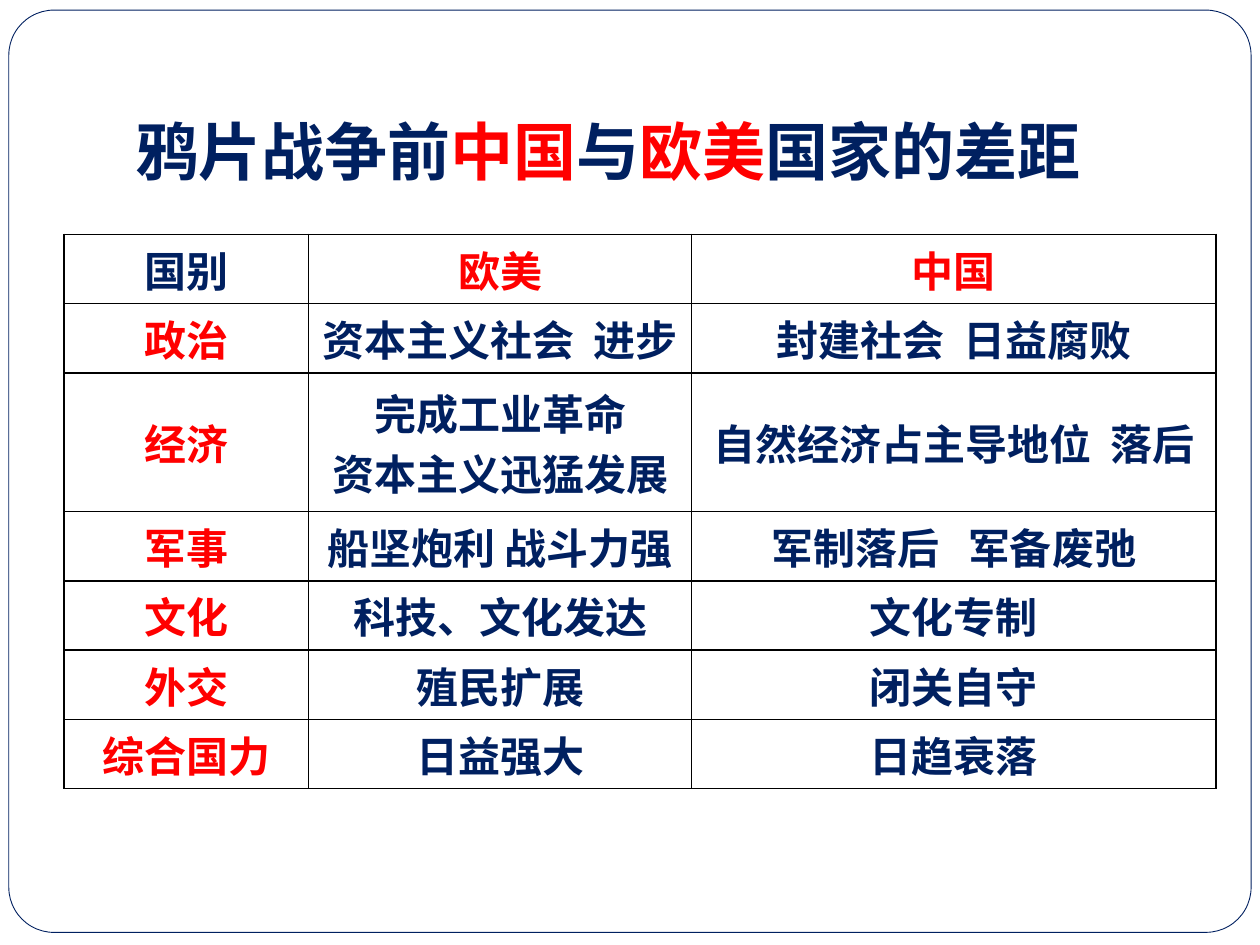
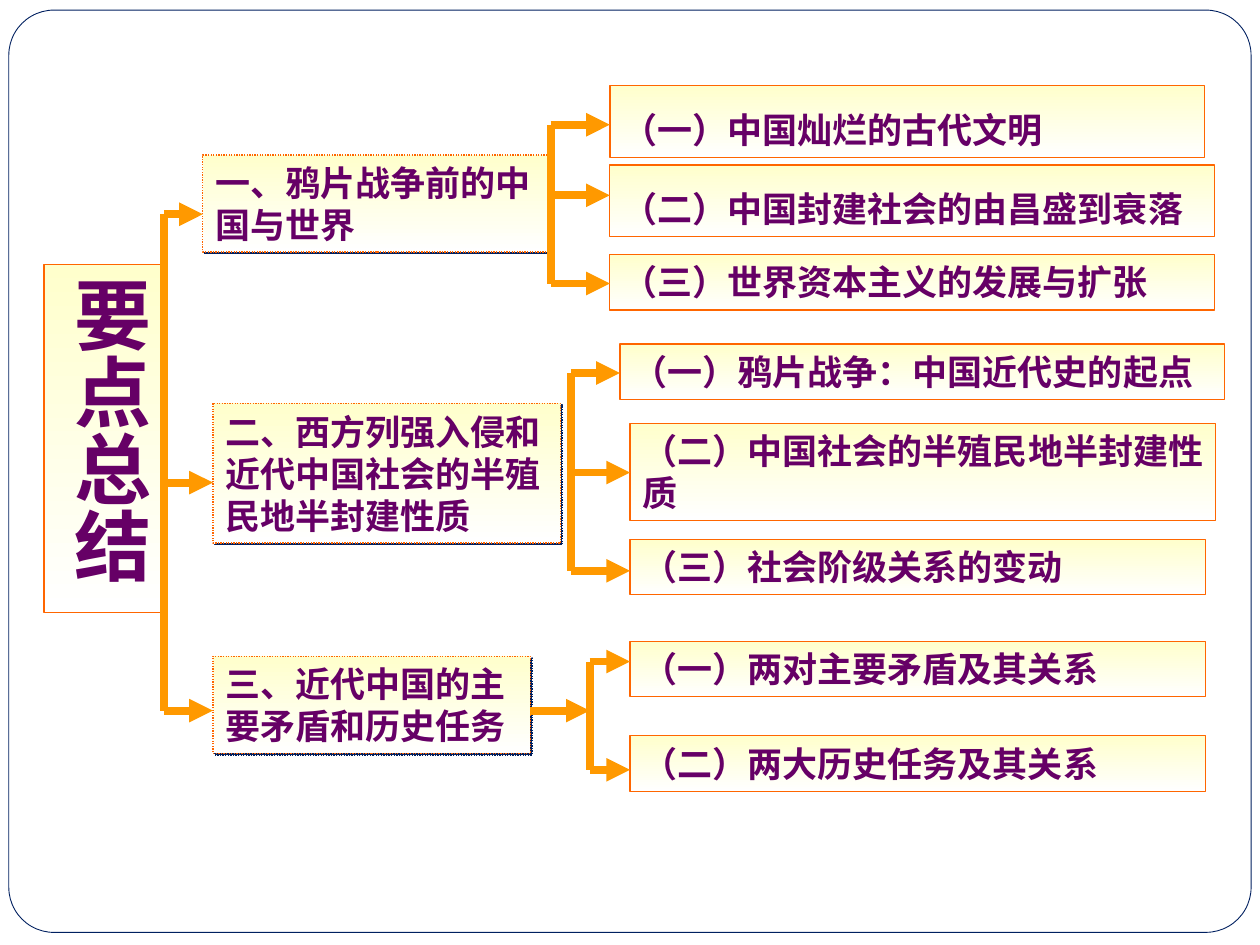
from lxml import etree
from pptx import Presentation
from pptx import util as u
from pptx.dml.color import RGBColor
from pptx.enum import dml, lang, shapes, text
from pptx.oxml import parse_xml
from pptx.oxml.ns import nsdecls, qn

# The slide is a grid of 100 columns by 75 rows
COLUMNS, ROWS = 100, 75
CELL = u.Inches(0.1)

COLORS = {
    "paper": "FFFFFF", "navy": "002060", "red": "FF0000", "black": "000000",
    "cream": "FFFFCC", "orange": "FF6600", "arrow": "FF9900", "purple": "660066",
}
CJK_FONT = "Noto Sans CJK JP"
TITLE = {"name": "Times New Roman", "size": u.Pt(36), "bold": True}
TABLE_TEXT = {"name": "Calibri", "size": u.Pt(24), "bold": True}
BOX_TEXT = {"name": CJK_FONT, "size": u.Pt(20), "bold": True}
ROOT_TEXT = {**BOX_TEXT, "size": u.Pt(44)}

TITLE_RUNS = [("鸦片战争前", "navy"), ("中国", "red"), ("与", "navy"),
              ("欧美", "red"), ("国家的差距", "navy")]
GAP_TABLE = [
    ["国别", "欧美", "中国"],
    ["政治", "资本主义社会  进步", "封建社会  日益腐败"],
    ["经济", "完成工业革命\n资本主义迅猛发展", "自然经济占主导地位  落后"],
    ["军事", "船坚炮利 战斗力强", "军制落后   军备废弛"],
    ["文化", "科技、文化发达", "文化专制"],
    ["外交", "殖民扩展", "闭关自守"],
    ["综合国力", "日益强大", "日趋衰落"],
]
TABLE_COLUMNS = [19.4, 30.4, 41.6]
TABLE_ROW = 5.5

# Each branch: topic box, row of its arrow, column of its spine,
# and leaves as (text, box, row of arrow, line spacing)
ROOT_SPINE = 13
BRANCHES = [
    {"topic": "一、鸦片战争前的中国与世界", "box": (16.1, 12.3, 27.6, 7.7),
     "anchor": "TOP", "row": 17, "spine": 43.7, "leaves": [
         ("（一）中国灿烂的古代文明", (48.4, 6.8, 47.2, 5.7), 9.9, 1.4),
         ("（二）中国封建社会的由昌盛到衰落", (48.4, 13.1, 48, 5.7), 15.5, 1.4),
         ("（三）世界资本主义的发展与扩张", (48.4, 20.2, 48, 4.4), 22.5, 1)]},
    {"topic": "二、西方列强入侵和近代中国社会的半殖民地半封建性质",
     "box": (16.9, 32, 27.6, 11.1),
     "anchor": "MIDDLE", "row": 38.3, "spine": 45.3, "leaves": [
         ("（一）鸦片战争：中国近代史的起点", (49.2, 27.3, 48, 4.4), 29.6, 1),
         ("（二）中国社会的半殖民地半封建性质", (50, 33.6, 46.5, 7.7), 37.5, 1),
         ("（三）社会阶级关系的变动", (50, 42.8, 45.7, 4.4), 45.3, 1)]},
    {"topic": "三、近代中国的主要矛盾和历史任务", "box": (16.9, 52.1, 25.2, 7.7),
     "anchor": "MIDDLE", "row": 56.4, "spine": 46.8, "leaves": [
         ("（一）两对主要矛盾及其关系", (50, 50.9, 45.7, 4.4), 52.5, 1),
         ("（二）两大历史任务及其关系", (50, 58.4, 45.7, 4.4), 61.1, 1)]},
]


def rgb(name):
    return RGBColor.from_string(COLORS[name])


def grid(*cells):
    return [round(cell * CELL) for cell in cells]


def add_run(paragraph, words, style, color):
    run = paragraph.add_run()
    run.text = words
    for attribute, value in style.items():
        setattr(run.font, attribute, value)
    run.font.color.rgb = rgb(color)
    run.font.language_id = lang.MSO_LANGUAGE_ID.SIMPLIFIED_CHINESE
    properties = run.font._element
    etree.SubElement(properties, qn("a:ea")).set("typeface", CJK_FONT)


def add_framed_slide(presentation):
    """Blank slide with the rounded frame that all slides share."""
    slide = presentation.slides.add_slide(presentation.slide_layouts[6])
    frame = slide.shapes.add_shape(shapes.MSO_SHAPE.ROUNDED_RECTANGLE,
                                   *grid(0.7, 0.8, 98.6, 73.2))
    frame.adjustments[0] = 0.049
    frame.shadow.inherit = False
    frame.fill.solid()
    frame.fill.fore_color.rgb = rgb("paper")
    frame.line.color.rgb = rgb("navy")
    frame.line.width = u.Pt(0.5)
    return slide


def add_title(slide, runs):
    frame = slide.shapes.add_textbox(*grid(9.8, 8.4, 81.9, 7)).text_frame
    frame.word_wrap = True
    for words, color in runs:
        add_run(frame.paragraphs[0], words, TITLE, color)


def set_borders(cell):
    properties = cell._tc.get_or_add_tcPr()
    for side in ("lnL", "lnR", "lnT", "lnB"):
        properties.append(parse_xml(
            f'<a:{side} {nsdecls("a")} w="{u.Pt(1)}"><a:solidFill>'
            f'<a:srgbClr val="{COLORS["black"]}"/></a:solidFill></a:{side}>'))


def fill_cell(cell, words, color):
    set_borders(cell)
    cell.fill.background()
    cell.vertical_anchor = text.MSO_ANCHOR.MIDDLE
    cell.margin_left = cell.margin_right = u.Inches(0.07)
    cell.margin_top = cell.margin_bottom = 0
    for index, line in enumerate(words.split("\n")):
        frame = cell.text_frame
        paragraph = frame.add_paragraph() if index else frame.paragraphs[0]
        paragraph.alignment = text.PP_ALIGN.CENTER
        add_run(paragraph, line, TABLE_TEXT, color)


def add_gap_table(slide, rows):
    line_counts = [max(words.count("\n") + 1 for words in row) for row in rows]
    size = (sum(TABLE_COLUMNS), TABLE_ROW * sum(line_counts))
    table = slide.shapes.add_table(len(rows), len(TABLE_COLUMNS),
                                   *grid(5.1, 18.6, *size)).table
    table.first_row = table.horz_banding = False
    for column, width in zip(table.columns, grid(*TABLE_COLUMNS)):
        column.width = width
    for row_index, row in enumerate(rows):
        table.rows[row_index].height = grid(TABLE_ROW * line_counts[row_index])[0]
        for column_index, words in enumerate(row):
            # Exactly the headings are red, except the corner
            is_heading = (row_index == 0) != (column_index == 0)
            fill_cell(table.cell(row_index, column_index), words,
                      "red" if is_heading else "navy")


def add_box(slide, words, box, style=BOX_TEXT, anchor="TOP", spacing=1):
    shape = slide.shapes.add_shape(shapes.MSO_SHAPE.RECTANGLE, *grid(*box))
    shape.shadow.inherit = False
    shape.fill.gradient()
    shape.fill.gradient_angle = 270
    for stop, color in zip(shape.fill.gradient_stops, ("cream", "paper")):
        stop.color.rgb = rgb(color)
    shape.line.color.rgb = rgb("orange")
    shape.line.width = u.Pt(0.75)
    frame = shape.text_frame
    frame.word_wrap = True
    frame.auto_size = text.MSO_AUTO_SIZE.SHAPE_TO_FIT_TEXT
    frame.vertical_anchor = text.MSO_ANCHOR[anchor]
    paragraph = frame.paragraphs[0]
    paragraph.alignment = text.PP_ALIGN.LEFT
    paragraph.line_spacing = spacing
    add_run(paragraph, words, style, "purple")
    return shape


def add_topic(slide, words, box, anchor):
    """Dotted box with a hard shadow at the lower right."""
    shape = add_box(slide, words, box, anchor=anchor)
    shape.line.dash_style = dml.MSO_LINE.ROUND_DOT
    effects = shape._element.spPr.find(qn("a:effectLst"))
    effects.append(parse_xml(
        f'<a:outerShdw {nsdecls("a")} blurRad="0" dist="{u.Pt(1.4)}" '
        f'dir="2700000" algn="ctr" rotWithShape="0">'
        f'<a:srgbClr val="{COLORS["navy"]}"/></a:outerShdw>'))


def add_line(slide, start, end, arrow=True):
    line = slide.shapes.add_connector(shapes.MSO_CONNECTOR.STRAIGHT,
                                      *grid(*start, *end))
    line.line.color.rgb = rgb("arrow")
    line.line.width = u.Pt(4.5)
    if arrow:
        outline = line.line._get_or_add_ln()
        etree.SubElement(outline, qn("a:tailEnd")).set("type", "triangle")
    etree.SubElement(line._element.spPr, qn("a:effectLst"))


def add_fork(slide, spine, targets):
    """Vertical spine with an arrow to each (column, row) target."""
    rows = [row for _, row in targets]
    add_line(slide, (spine, min(rows)), (spine, max(rows)), arrow=False)
    for column, row in targets:
        add_line(slide, (spine, row), (column, row))


def add_branch(slide, branch):
    add_topic(slide, branch["topic"], branch["box"], branch["anchor"])
    for words, box, _, spacing in branch["leaves"]:
        add_box(slide, words, box, spacing=spacing)
    add_fork(slide, branch["spine"],
             [(box[0], row) for _, box, row, _ in branch["leaves"]])


def add_summary_tree(slide):
    root = add_box(slide, "要点总结", (3.5, 21, 9.4, 27.6), ROOT_TEXT)
    root.text_frame._txBody.bodyPr.set("vert", "eaVert")
    for branch in BRANCHES:
        add_branch(slide, branch)
    add_fork(slide, ROOT_SPINE,
             [(branch["box"][0], branch["row"]) for branch in BRANCHES])
    # The last topic stands clear of its spine
    last = BRANCHES[-1]
    left, _, width, _ = last["box"]
    add_line(slide, (left + width, last["row"]), (last["spine"], last["row"]))


def main():
    presentation = Presentation()
    presentation.slide_width, presentation.slide_height = grid(COLUMNS, ROWS)

    # Comparison table
    slide = add_framed_slide(presentation)
    add_gap_table(slide, GAP_TABLE)
    add_title(slide, TITLE_RUNS)

    # Summary tree
    add_summary_tree(add_framed_slide(presentation))

    presentation.save("out.pptx")


if __name__ == "__main__":
    main()
